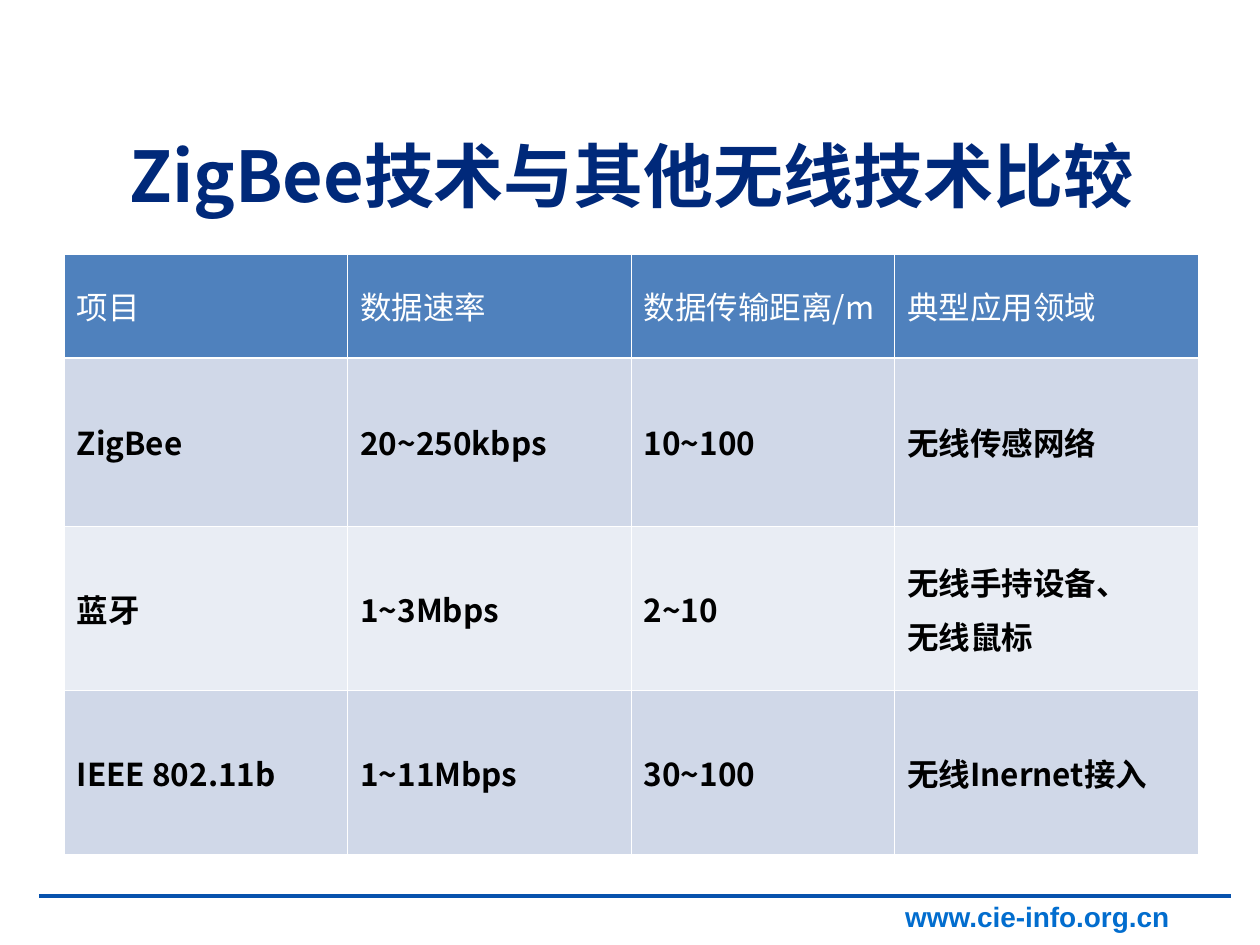
"""Build a slide that compares ZigBee with other wireless technologies."""
from dataclasses import dataclass

from pptx import Presentation
from pptx.dml.color import RGBColor as Color
from pptx.enum.shapes import MSO_CONNECTOR as Connector
from pptx.enum.text import MSO_ANCHOR as Anchor, PP_ALIGN as Align
from pptx.oxml.ns import qn
from pptx.slide import Slide
from pptx.table import _Cell as Cell
from pptx.text.text import _Paragraph as Paragraph
from pptx.util import Inches, Pt
from lxml.etree import SubElement


@dataclass(frozen=True)
class Theme:
    title: str = "00297A"
    address: str = "026DCE"
    rule: str = "0752AD"
    rule_shade: str = "0F1A81"
    header: str = "4F81BD"
    bands: tuple[str, str] = ("D0D8E8", "E9EDF4")
    border: str = "FFFFFF"
    header_text: str = "FFFFFF"
    body_text: str = "000000"
    cjk_font: str = "Noto Sans CJK SC"
    cell_font: str = "Calibri"
    address_font: str = "Arial"
    title_size: float = 40
    cell_size: float = 18
    address_size: float = 16
    thin: float = 0.45
    thick: float = 1.47


@dataclass(frozen=True)
class TextStyle:
    font: str
    size: float
    color: str
    bold: bool = True


@dataclass(frozen=True)
class Rule:
    left: float
    right: float
    top: float
    color: str
    weight: float


@dataclass(frozen=True)
class Label:
    text: str
    left: float
    top: float
    width: float
    height: float
    style: TextStyle
    align: Align
    anchor: Anchor
    line_spacing: float = 1.0


THEME = Theme()
RULES = (
    Rule(0.33, 9.75, 7.12, THEME.rule_shade, 0.75),
    Rule(0.31, 9.77, 7.11, THEME.rule, 2),
)
LABELS = (
    Label("www.cie-info.org.cn", 6.8, 7.09, 2.58, 0.41,
          TextStyle(THEME.address_font, THEME.address_size, THEME.address),
          Align.RIGHT, Anchor.TOP),
    Label("ZigBee技术与其他无线技术比较", 0.59, 0.99, 8.84, 0.88,
          TextStyle(THEME.cjk_font, THEME.title_size, THEME.title),
          Align.CENTER, Anchor.MIDDLE, 0.9),
)
COLUMN_WIDTHS = (2.25, 2.25, 2.09, 2.41)
ROW_HEIGHTS = (0.82, 1.34, 1.3, 1.3)
COMPARISON = (
    ("项目", "数据速率", "数据传输距离/m", "典型应用领域"),
    ("ZigBee", "20~250kbps", "10~100", "无线传感网络"),
    ("蓝牙", "1~3Mbps", "2~10", "无线手持设备、\n无线鼠标"),
    ("IEEE 802.11b", "1~11Mbps", "30~100", "无线Inernet接入"),
)


def style_paragraph(para: Paragraph, style: TextStyle) -> None:
    """Set the paragraph font, with the theme face for Chinese text."""
    font = para.font
    font.name = style.font
    font.size = Pt(style.size)
    font.bold = style.bold
    font.color.rgb = Color.from_string(style.color)
    for span in para.runs:
        properties = span._r.get_or_add_rPr()
        properties.set("lang", "zh-CN")
        SubElement(properties, qn("a:ea"), typeface=THEME.cjk_font)


def draw_rule(slide: Slide, rule: Rule) -> None:
    """Draw one horizontal line without a shadow."""
    line = slide.shapes.add_connector(
        Connector.STRAIGHT, Inches(rule.left), Inches(rule.top),
        Inches(rule.right), Inches(rule.top))
    line.line.color.rgb = Color.from_string(rule.color)
    line.line.width = Pt(rule.weight)
    SubElement(line._element.spPr, qn("a:effectLst"))


def draw_label(slide: Slide, label: Label) -> None:
    """Draw one single-paragraph text box."""
    box = slide.shapes.add_textbox(
        Inches(label.left), Inches(label.top),
        Inches(label.width), Inches(label.height))
    frame = box.text_frame
    frame.word_wrap = True
    frame.vertical_anchor = label.anchor
    para = frame.paragraphs[0]
    para.text = label.text
    para.alignment = label.align
    para.line_spacing = label.line_spacing
    style_paragraph(para, label.style)


def set_border(cell: Cell, side: str, weight: float) -> None:
    """Add one solid border to a cell."""
    line = SubElement(cell._tc.get_or_add_tcPr(), qn(f"a:ln{side}"),
                      w=str(int(Pt(weight))))
    fill = SubElement(line, qn("a:solidFill"))
    SubElement(fill, qn("a:srgbClr"), val=THEME.border)


def fill_cell(cell: Cell, text: str, row: int) -> None:
    """Write and style one cell according to its row."""
    is_header = row == 0
    weights = {
        "L": THEME.thin,
        "R": THEME.thin,
        "T": THEME.thick if row == 1 else THEME.thin,
        "B": THEME.thick if is_header else THEME.thin,
    }
    for side, weight in weights.items():
        set_border(cell, side, weight)
    cell.fill.solid()
    cell.fill.fore_color.rgb = Color.from_string(
        THEME.header if is_header else THEME.bands[(row - 1) % 2])
    cell.vertical_anchor = Anchor.MIDDLE
    cell.text = text
    has_latin = any(letter.isascii() and letter != "\n" for letter in text)
    style = TextStyle(
        THEME.cjk_font if has_latin else THEME.cell_font, THEME.cell_size,
        THEME.header_text if is_header else THEME.body_text, not is_header)
    for index, para in enumerate(cell.text_frame.paragraphs):
        if index:
            para.space_before = Pt(4.5)
        style_paragraph(para, style)


def draw_comparison(slide: Slide) -> None:
    """Draw the comparison table."""
    table = slide.shapes.add_table(
        len(ROW_HEIGHTS), len(COLUMN_WIDTHS), Inches(0.51), Inches(2.02),
        Inches(sum(COLUMN_WIDTHS)), Inches(sum(ROW_HEIGHTS))).table
    for column, width in zip(table.columns, COLUMN_WIDTHS):
        column.width = Inches(width)
    for row, height in zip(table.rows, ROW_HEIGHTS):
        row.height = Inches(height)
    for row, texts in enumerate(COMPARISON):
        for column, text in enumerate(texts):
            fill_cell(table.cell(row, column), text, row)


def main() -> None:
    """Build and save the deck."""
    deck = Presentation()
    deck.slide_width, deck.slide_height = Inches(10), Inches(7.5)
    page = deck.slides.add_slide(deck.slide_layouts[6])
    for rule in RULES:
        draw_rule(page, rule)
    for label in LABELS:
        draw_label(page, label)
    draw_comparison(page)
    deck.save("out.pptx")


if __name__ == "__main__":
    main()
